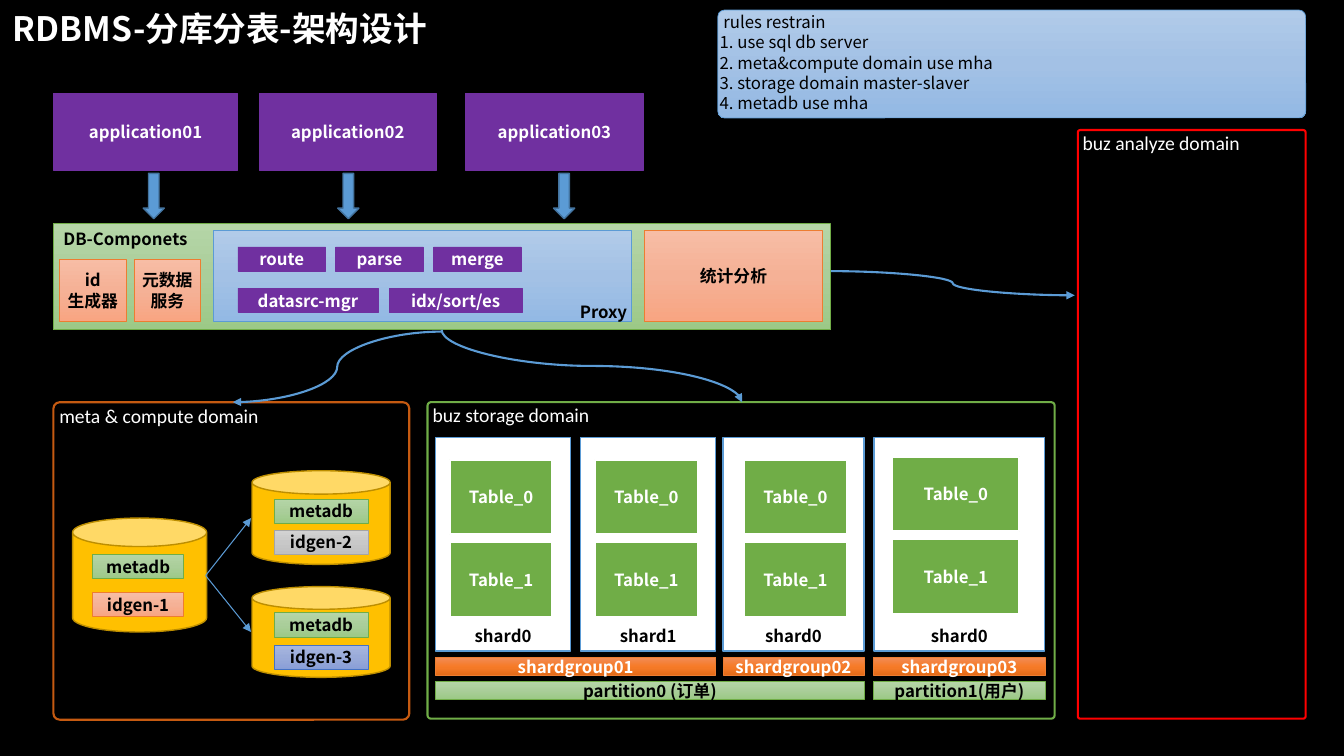
from copy import deepcopy
from pptx import Presentation
from pptx import util as u
from pptx.dml.color import RGBColor
from pptx.enum import shapes, text
from pptx.oxml.ns import qn
from pptx.oxml.xmlchemy import OxmlElement

COLS, ROWS = 133.3, 75  # grid cells of a tenth of an inch
CELL = u.Inches(0.1)
SANS, LATIN = "Noto Sans CJK SC", "Calibri"
WHITE, BLACK, BLUE = "FFFFFF", "000000", "5B9BD5"
KIND, ALIGN, SIDE = shapes.MSO_SHAPE, text.PP_ALIGN, text.MSO_ANCHOR
# style: fill colours, line colour, line width, text colour
STYLES = {
    "green": (["B5D5A7", "AACE9A", "9CC987"], "70AD47", 0.5, BLACK),
    "peach": (["F7BDA5", "F5B196", "F8A582"], "ED7D31", 0.5, BLACK),
    "sky": (["B1CBE9", "A3C1E5", "93B9E4"], BLUE, 0.5, BLACK),
    "grey": (["D2D2D2", "C8C8C8", "C0C0C0"], "A5A5A5", 0.5, BLACK),
    "navy": (["A8B7DF", "9AABD9", "889ED7"], "4472C4", 0.5, BLACK),
    "orange": (["F18C57", "F67B28", "E56C19"], "ED7D31", 0.5, WHITE),
    "violet": (["7030A0"], "7030A0", 0.5, WHITE),
    "table": (["70AD47"], WHITE, 1.5, WHITE),
    "shard": ([WHITE], BLUE, 1, BLACK),
    "disk": (["FFC000"], "BD8E00", 1, BLACK),
    "arrow": ([BLUE], "43739E", 1, WHITE),
    "meta": ([], "C55A11", 1.5, WHITE),
    "store": ([], "70AD47", 1.5, WHITE),
    "stats": ([], "FF0000", 1.5, WHITE),
}


def rgb(code):
    """Turn a hex string into a colour."""
    return RGBColor.from_string(code)


def cells(*nums):
    """Turn grid cells into slide lengths."""
    return [round(n * CELL) for n in nums]


def inner(box, x, y, w, h):
    """Place a part relative to the corner of its box."""
    return box[0] + x, box[1] + y, w, h


def paint(shape, hues):
    """Fill with nothing, one colour or a downward gradient."""
    fill = shape.fill
    if not hues:
        fill.background()
    elif len(hues) == 1:
        fill.solid()
        fill.fore_color.rgb = rgb(hues[0])
    else:
        fill.gradient()
        fill.gradient_angle = 270
        stops = shape._element.spPr.find(".//" + qn("a:gsLst"))
        stops.insert(1, deepcopy(stops[0]))
        for i, (stop, hue) in enumerate(zip(fill.gradient_stops, hues)):
            stop.position = i / 2
            stop.color.rgb = rgb(hue)


def write(frame, lines, hue, size=12, bold=True, font=SANS, align=ALIGN.CENTER):
    """Write one paragraph per line."""
    frame.word_wrap = True
    for i, line in enumerate(lines):
        para = frame.add_paragraph() if i else frame.paragraphs[0]
        para.alignment = align
        run = para.add_run()
        run.text = line
        face = run.font
        face.size, face.bold, face.name = u.Pt(size), bold, font
        face.color.rgb = rgb(hue)
        east = OxmlElement("a:ea")
        east.set("typeface", font)
        face._element.find(qn("a:latin")).addnext(east)


def block(slide, box, style, *lines, kind=KIND.RECTANGLE, adj=None,
          side=SIDE.MIDDLE, pad=None, **looks):
    """Draw one styled shape with its text."""
    hues, edge, width, ink = STYLES[style]
    shape = slide.shapes.add_shape(kind, *cells(*box))
    shape.shadow.inherit = False
    paint(shape, hues)
    shape.line.color.rgb = rgb(edge)
    shape.line.width = u.Pt(width)
    if adj is not None:
        shape.adjustments[0] = adj
    frame = shape.text_frame
    frame.vertical_anchor = side
    if pad:
        (frame.margin_left, frame.margin_top,
         frame.margin_right, frame.margin_bottom) = cells(*pad)
    write(frame, lines, ink, **looks)


def link(slide, start, end, width=1.5, curve=True, down=False):
    """Draw an arrow; a down curve leaves its start vertically."""
    (x1, y1), (x2, y2) = start, end
    if down:
        mx, my, dx, dy = (x1 + x2) / 2, (y1 + y2) / 2, x2 - x1, y2 - y1
        x1, y1, x2, y2 = mx - dy / 2, my + dx / 2, mx + dy / 2, my - dx / 2
    form = shapes.MSO_CONNECTOR.CURVE if curve else shapes.MSO_CONNECTOR.STRAIGHT
    wire = slide.shapes.add_connector(form, *cells(x1, y1, x2, y2))
    wire.line.color.rgb = rgb(BLUE)
    wire.line.width = u.Pt(width)
    tip = OxmlElement("a:tailEnd")
    tip.set("type", "triangle")
    wire.line._get_or_add_ln().append(tip)
    props = wire._element.spPr
    props.append(OxmlElement("a:effectLst"))
    if down:
        props.find(qn("a:xfrm")).set("rot", str(90 * 60000))


def domain(slide, box, style, name, adj=0.011):
    """Draw a named domain outline."""
    block(slide, box, style, name, kind=KIND.ROUNDED_RECTANGLE, adj=adj,
          side=SIDE.TOP, pad=(0.4, 0, 0, 0), size=14, bold=False,
          font=LATIN, align=ALIGN.LEFT)


def title(slide, box):
    """Write the slide title."""
    frame = slide.shapes.add_textbox(*cells(*box)).text_frame
    write(frame, ["RDBMS-分库分表-架构设计"], WHITE, size=24, align=ALIGN.LEFT)


def rules(slide, box):
    """List the rules."""
    block(slide, box, "sky", " rules restrain", "1. use sql db server",
          "2. meta&compute domain use mha", "3. storage domain master-slaver",
          "4. metadb use mha", kind=KIND.ROUNDED_RECTANGLE, adj=0.06,
          side=SIDE.TOP, pad=(0, 0, 0, 0), bold=False, align=ALIGN.LEFT)


def apps(slide, box):
    """Draw the applications and their down arrows."""
    parts = [(0, 18.3, 8.9), (20.4, 17.6, 28.2), (40.9, 17.6, 49.6)]
    for i, (x, w, tip) in enumerate(parts, 1):
        block(slide, inner(box, x, 0, w, 7.6), "violet", f"application0{i}")
        block(slide, inner(box, tip, 7.9, 2.1, 4.5), "arrow", kind=KIND.DOWN_ARROW)


def proxy(slide, box):
    """Draw the proxy and its modules."""
    block(slide, box, "sky", "Proxy", side=SIDE.BOTTOM, pad=(0, 0, 0.4, 0),
          align=ALIGN.RIGHT)
    for i, name in enumerate(["route", "parse", "merge"]):
        block(slide, inner(box, 2.4 + 9.7 * i, 1.6, 8.7, 2.4), "violet", name)
    for x, w, name in [(2.4, 13.9, "datasrc-mgr"), (17.4, 13.2, "idx/sort/es")]:
        block(slide, inner(box, x, 5.7, w, 2.4), "violet", name)


def parts(slide, box):
    """Draw the database components."""
    block(slide, box, "green", "DB-Componets", side=SIDE.TOP, align=ALIGN.LEFT)
    thin = (0.4,) * 4
    for x, y, w, h, lines in [(0.6, 3.5, 6.6, 6.2, ["id", "生成器"]),
                              (8, 3.5, 6.6, 6.2, ["元数据服务"]),
                              (58.6, 0.7, 17.7, 9, ["统计分析"])]:
        block(slide, inner(box, x, y, w, h), "peach", *lines, pad=thin)
    proxy(slide, inner(box, 15.9, 0.7, 41.4, 9))


def disk(slide, box, style, name, x, w, top, step):
    """Draw a database holding two labels."""
    block(slide, box, "disk", kind=KIND.CAN)
    for i, (hue, word) in enumerate([("green", "metadb"), (style, name)]):
        block(slide, inner(box, x, top + step * i, w, 2.4), hue, word)


def meta(slide, box):
    """Draw the meta and compute domain."""
    domain(slide, box, "meta", "meta & compute domain", adj=0.02)
    disk(slide, inner(box, 1.9, 11.5, 13.3, 11.3), "peach", "idgen-1", 2, 9, 3.6, 3.8)
    disk(slide, inner(box, 19.7, 6.8, 13.7, 9.3), "grey", "idgen-2", 2.2, 9.3, 2.8, 3.1)
    disk(slide, inner(box, 19.7, 18.3, 13.7, 9), "navy", "idgen-3", 2.2, 9.3, 2.6, 3.2)
    x, y = box[:2]
    for end in (11.5, 22.8):
        link(slide, (x + 15.1, y + 17.2), (x + 19.6, y + end), 0.75, curve=False)


def store(slide, box):
    """Draw the storage domain with shards, groups and partitions."""
    domain(slide, box, "store", "buz storage domain")
    shards = [(0.8, 13.4, "shard0", 1.4, 2.2, 10.2), (15.2, 13.4, "shard1", 1.4, 2.2, 10.2),
              (29.3, 14, "shard0", 2.1, 2.2, 10.2), (44.3, 16.9, "shard0", 1.8, 1.9, 12.6)]
    for x, w, name, left, top, wide in shards:
        home = inner(box, x, 3.5, w, 21.2)
        block(slide, home, "shard", name, side=SIDE.BOTTOM)
        for i in range(2):
            block(slide, inner(home, left, top + 8.2 * i, wide, 7.4), "table", f"Table_{i}")
    for i, (x, w) in enumerate([(0.8, 27.8), (29.3, 14), (44.2, 17.1)], 1):
        block(slide, inner(box, x, 25.3, w, 1.8), "orange", f"shardgroup0{i}")
    for x, w, name in [(0.8, 42.5, "partition0 (订单)"), (44.2, 17.1, "partition1(用户)")]:
        block(slide, inner(box, x, 27.7, w, 1.8), "green", name)


def build():
    """Lay out the whole slide."""
    deck = Presentation()
    deck.slide_width, deck.slide_height = cells(COLS, ROWS)
    slide = deck.slides.add_slide(deck.slide_layouts[6])
    back = slide.background.fill
    back.solid()
    back.fore_color.rgb = rgb(BLACK)
    title(slide, (0.3, 0.3, 81.2, 5))
    rules(slide, (71.2, 1, 58.3, 10.7))
    apps(slide, (5.3, 9.3, 58.5, 12.4))
    parts(slide, (5.3, 22.2, 77.1, 10.5))
    meta(slide, (5.3, 39.9, 35.3, 31.5))
    store(slide, (42.4, 39.9, 62.2, 31.4))
    domain(slide, (106.9, 12.9, 22.6, 58.4), "stats", "buz analyze domain")
    link(slide, (43.8, 32.9), (23.1, 39.9))
    link(slide, (43.8, 32.7), (73.6, 39.9), down=True)
    link(slide, (82.4, 26.9), (106.6, 29.3))
    deck.save("out.pptx")


build()
